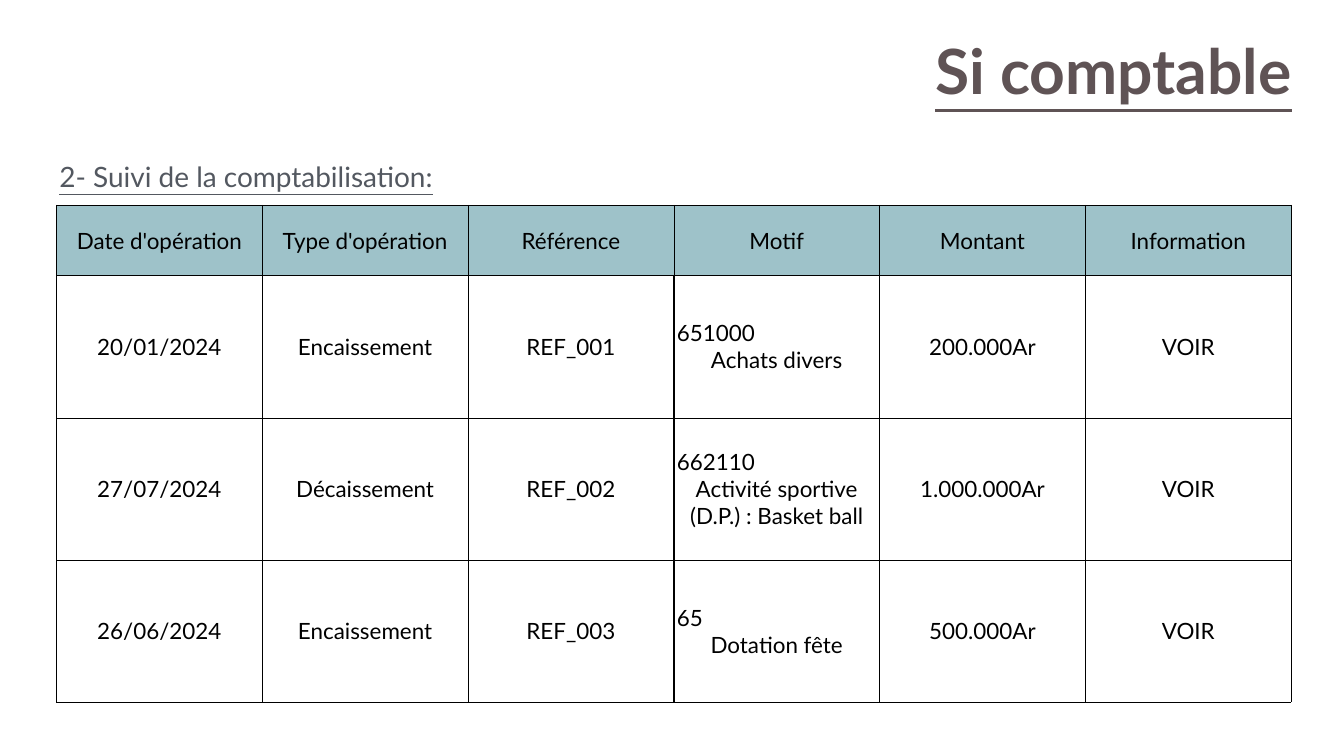
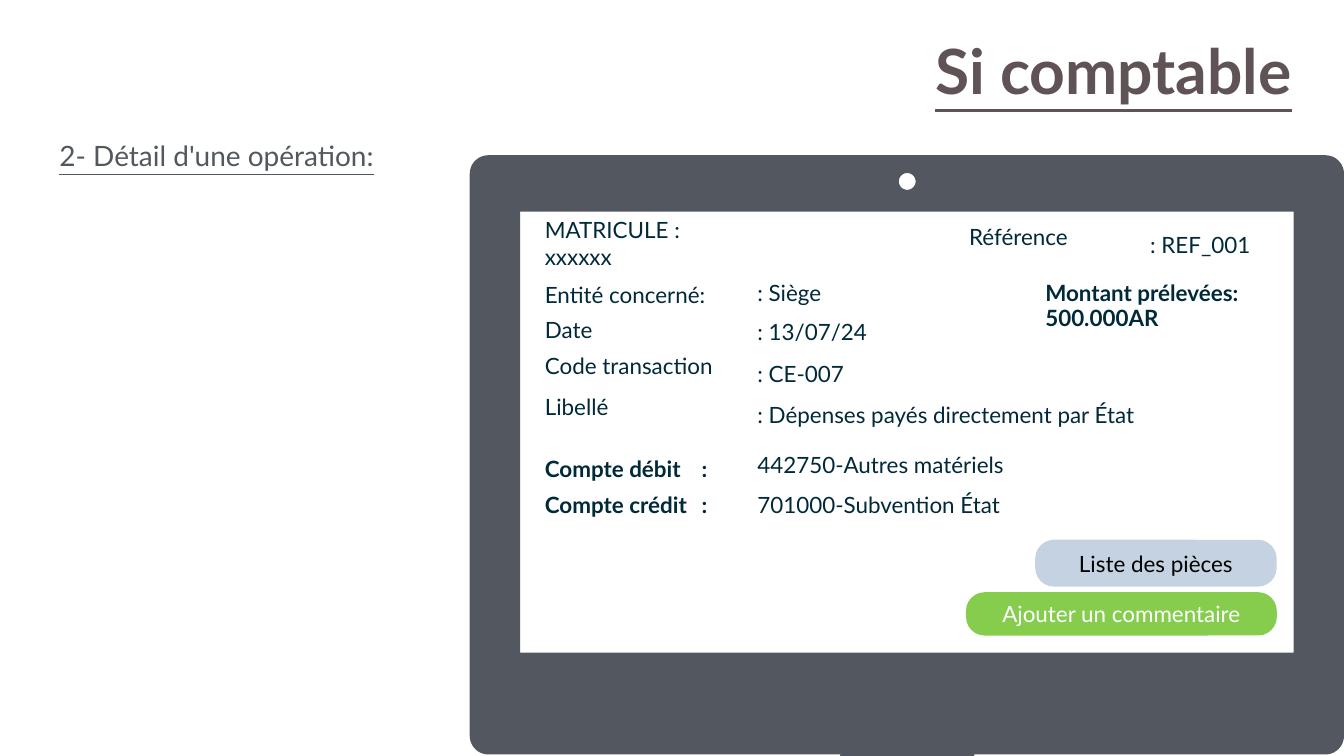
from dataclasses import dataclass
from math import cos, pi, sin
from typing import NamedTuple, Optional

from lxml.etree import SubElement
from pptx import Presentation
from pptx.dml.color import RGBColor
from pptx.enum.shapes import MSO_SHAPE as Preset
from pptx.enum.text import MSO_ANCHOR as Anchor, MSO_AUTO_SIZE as AutoSize, PP_ALIGN as Align
from pptx.oxml.ns import qn
from pptx.util import Emu, Inches, Pt

# The slide is a grid of 160 columns by 90 rows, six to the inch
COLUMNS, ROWS = 160, 90
UNIT = Inches(1) / 6


@dataclass(frozen=True)
class Theme:
    font: str = "Lato"
    title: str = "5F5355"
    slate: str = "535860"
    ink: str = "002939"
    header: str = "9EC2C9"
    green: str = "86CD4D"
    pale_blue: str = "C5D2E1"
    black: str = "000000"
    white: str = "FFFFFF"
    title_size: int = 89
    heading_size: int = 40
    body_size: int = 32
    margin: float = 0.36
    thin: int = 1
    thick: int = 3


THEME = Theme()


class Box(NamedTuple):
    left: float
    top: float
    width: float
    height: float = 4.32


@dataclass(frozen=True)
class Style:
    size: int = THEME.body_size
    color: str = THEME.ink
    bold: bool = False
    underline: bool = False
    align: Align = Align.LEFT
    line_spacing: Optional[float] = None


class Field(NamedTuple):
    text: str
    box: Box
    style: Style = Style()
    tab: Optional[float] = None


class Button(NamedTuple):
    text: str
    box: Box
    fill: str
    color: str
    rounding: float


TITLE = Style(THEME.title_size, THEME.title, bold=True, underline=True)
HEADING = Style(THEME.heading_size, THEME.slate, underline=True)
CELL = Style(color=THEME.black, align=Align.CENTER)
CELL_CODE = Style(color=THEME.black)
BOLD = Style(bold=True)
TIGHT = Style(line_spacing=0.1)
AMOUNT = Style(bold=True, line_spacing=0.9)

# Slide 1: table of operations
LEFT = 6.72
TABLE_TOP = 24.42
COLUMN_WIDTH = 24.5
HEADER_HEIGHT, ROW_HEIGHT = 8.4, 16.92
REASON = 3
HEADERS = ["Date d'opération", "Type d'opération", "Référence", "Motif", "Montant", "Information"]
OPERATIONS = [
    ["20/01/2024", "Encaissement", "REF_001", "651000\nAchats divers", "200.000Ar", "VOIR"],
    ["27/07/2024", "Décaissement", "REF_002",
     "662110\nActivité sportive (D.P.) : Basket ball", "1.000.000Ar", "VOIR"],
    ["26/06/2024", "Encaissement", "REF_003", "65\nDotation fête", "500.000Ar", "VOIR"],
]

# Slide 2: fields and buttons on the screen
LABEL, VALUE = 64.5, 89.8
COLON_TAB = 18.66
FIELDS = [
    Field("MATRICULE :\vxxxxxx", Box(LABEL, 26.76, 25.26)),
    Field("Référence", Box(115, 27, 23.34), TIGHT),
    Field(": REF_001", Box(136.56, 27, 15.42)),
    Field("Entité concerné:", Box(LABEL, 32.94, 22.56)),
    Field(": Siège", Box(VALUE, 32.64, 19.86)),
    Field("Montant prélevées: 500.000AR", Box(124.08, 32.7, 26.82, 7.62), AMOUNT),
    Field("Date", Box(LABEL, 37.02, 19.86)),
    Field(": 13/07/24", Box(VALUE, 37.26, 19.86)),
    Field("Code transaction", Box(LABEL, 42.36, 23.34), TIGHT),
    Field(": CE-007", Box(VALUE, 42.36, 11.76)),
    Field("Libellé", Box(LABEL, 47.16, 23.34), TIGHT),
    Field(": Dépenses payés directement par État", Box(VALUE, 47.16, 50.34)),
    Field("Compte débit\t:", Box(LABEL, 53.58, 22.6), BOLD, COLON_TAB),
    Field("442750-Autres matériels", Box(VALUE, 53.1, 31.56)),
    Field("Compte crédit\t:", Box(LABEL, 57.9, 22.6), BOLD, COLON_TAB),
    Field("701000-Subvention État", Box(VALUE, 57.9, 31.56)),
]
BUTTONS = [
    Button("Ajouter un commentaire", Box(115, 70.5, 37, 5.16), THEME.green, THEME.white, 0.43),
    Button("Liste des pièces", Box(123.24, 64.26, 28.74, 5.58), THEME.pale_blue, THEME.black, 0.4),
]


def units(value: float) -> Emu:
    return Emu(round(value * UNIT))


def place(box: Box) -> list[Emu]:
    return [units(value) for value in box]


def rgb(color: str) -> RGBColor:
    return RGBColor.from_string(color)


def format_paragraph(paragraph, style: Style) -> None:
    paragraph.alignment = style.align
    if style.line_spacing:
        paragraph.line_spacing = style.line_spacing
    for run in paragraph.runs:
        font = run.font
        font.name, font.size = THEME.font, Pt(style.size)
        font.bold, font.underline = style.bold, style.underline
        font.color.rgb = rgb(style.color)


def set_margins(target) -> None:
    target.margin_left = target.margin_right = units(THEME.margin)
    target.margin_top = target.margin_bottom = units(THEME.margin)


def write(shape, text: str, style: Style, tab: Optional[float] = None) -> None:
    text_frame = shape.text_frame
    text_frame.text = text
    text_frame.word_wrap = True
    text_frame.auto_size = AutoSize.NONE
    text_frame.vertical_anchor = Anchor.MIDDLE
    set_margins(text_frame)
    for paragraph in text_frame.paragraphs:
        if tab:
            properties = paragraph._p.get_or_add_pPr()
            tabs = SubElement(properties, qn("a:tabLst"))
            SubElement(tabs, qn("a:tab"), pos=str(units(tab)), algn="l")
        format_paragraph(paragraph, style)


def add_text(slide, field: Field) -> None:
    write(slide.shapes.add_textbox(*place(field.box)), field.text, field.style, field.tab)


def add_titled_slide(presentation, heading: str, top: float):
    """Add a slide with the shared title and its own heading."""
    slide = presentation.slides.add_slide(presentation.slide_layouts[5])
    title = slide.shapes.title
    title.left, title.top, title.width, title.height = place(Box(111, 2.82, 47.82, 10.86))
    write(title, "Si comptable", TITLE)
    add_text(slide, Field(heading, Box(LEFT, top, 47.16, 5.28), HEADING))
    return slide


def set_borders(cell, left: int, right: int) -> None:
    properties = cell._tc.get_or_add_tcPr()
    widths = {"a:lnL": left, "a:lnR": right, "a:lnT": THEME.thin, "a:lnB": THEME.thin}
    for position, (tag, width) in enumerate(widths.items()):
        line = SubElement(properties, qn(tag), w=str(Pt(width)))
        SubElement(SubElement(line, qn("a:solidFill")), qn("a:srgbClr"), val=THEME.black)
        properties.insert(position, line)


def add_operations_table(slide) -> None:
    rows = [HEADERS, *OPERATIONS]
    box = Box(LEFT, TABLE_TOP, COLUMN_WIDTH * len(HEADERS),
              HEADER_HEIGHT + ROW_HEIGHT * len(OPERATIONS))
    table = slide.shapes.add_table(len(rows), len(HEADERS), *place(box)).table
    table.first_row = table.horz_banding = False
    for column in table.columns:
        column.width = units(COLUMN_WIDTH)
    for row_index, texts in enumerate(rows):
        is_header = row_index == 0
        table.rows[row_index].height = units(HEADER_HEIGHT if is_header else ROW_HEIGHT)
        for column_index, text in enumerate(texts):
            cell = table.cell(row_index, column_index)
            cell.text_frame.text = text
            cell.vertical_anchor = Anchor.MIDDLE
            set_margins(cell)
            cell.fill.solid()
            cell.fill.fore_color.rgb = rgb(THEME.header if is_header else THEME.white)
            paragraphs = cell.text_frame.paragraphs
            for paragraph in paragraphs:
                format_paragraph(paragraph, CELL)
            if len(paragraphs) > 1:
                format_paragraph(paragraphs[0], CELL_CODE)
            # A thick rule sets off the reason column below the header
            left, right = [THEME.thick if not is_header and column_index == edge else THEME.thin
                           for edge in (REASON, REASON - 1)]
            set_borders(cell, left, right)


def arc(x: float, y: float, radius: float, start: int, sweep: int,
        steps: int) -> list[tuple[float, float]]:
    angles = [(start + sweep * step / steps) * pi / 180 for step in range(steps + 1)]
    return [(x + radius * cos(angle), y + radius * sin(angle)) for angle in angles]


def add_monitor(slide) -> None:
    left, top, right, bottom, radius = 55.92, 18.48, COLUMNS, 89.82, 2.22
    middle = 108
    stand = [(7.95, bottom), (8.1, 90.48), (9.9, 99.18), (15, 99.18), (15, 102.48)]
    frame = [
        *arc(left + radius, top + radius, radius, 180, 90, 12),
        *arc(right - radius, top + radius, radius, 270, 90, 12),
        *arc(right - radius, bottom - radius, radius, 0, 90, 12),
        *[(middle + offset, y) for offset, y in stand],
        *[(middle - offset, y) for offset, y in reversed(stand)],
        *arc(left + radius, bottom - radius, radius, 90, 90, 12),
    ]
    lens = arc(middle, 21.6, 1, 360, -360, 48)
    screen = [(61.92, 25.2), (61.92, 77.7), (154, 77.7), (154, 25.2)]

    builder = slide.shapes.build_freeform(*[units(value) for value in frame[0]])
    for number, outline in enumerate((frame, lens, screen)):
        points = [(units(x), units(y)) for x, y in outline]
        if number:
            builder.move_to(*points[0])
        builder.add_line_segments(points[1:], close=True)
    paint(builder.convert_to_shape(), THEME.slate)


def paint(shape, color: str) -> None:
    shape.shadow.inherit = False
    shape.fill.solid()
    shape.fill.fore_color.rgb = rgb(color)
    shape.line.fill.background()


def add_button(slide, button: Button) -> None:
    shape = slide.shapes.add_shape(Preset.ROUNDED_RECTANGLE, *place(button.box))
    shape.adjustments[0] = button.rounding
    paint(shape, button.fill)
    write(shape, button.text, Style(color=button.color, align=Align.CENTER))


def main() -> None:
    presentation = Presentation()
    presentation.slide_width, presentation.slide_height = units(COLUMNS), units(ROWS)

    # Slide 1
    tracking = add_titled_slide(presentation, "2- Suivi de la comptabilisation:", 18.3)
    add_operations_table(tracking)

    # Slide 2
    detail = add_titled_slide(presentation, "2- Détail d'une opération:", 15.9)
    add_monitor(detail)
    for field in FIELDS:
        add_text(detail, field)
    for button in BUTTONS:
        add_button(detail, button)

    presentation.save("out.pptx")


if __name__ == "__main__":
    main()
